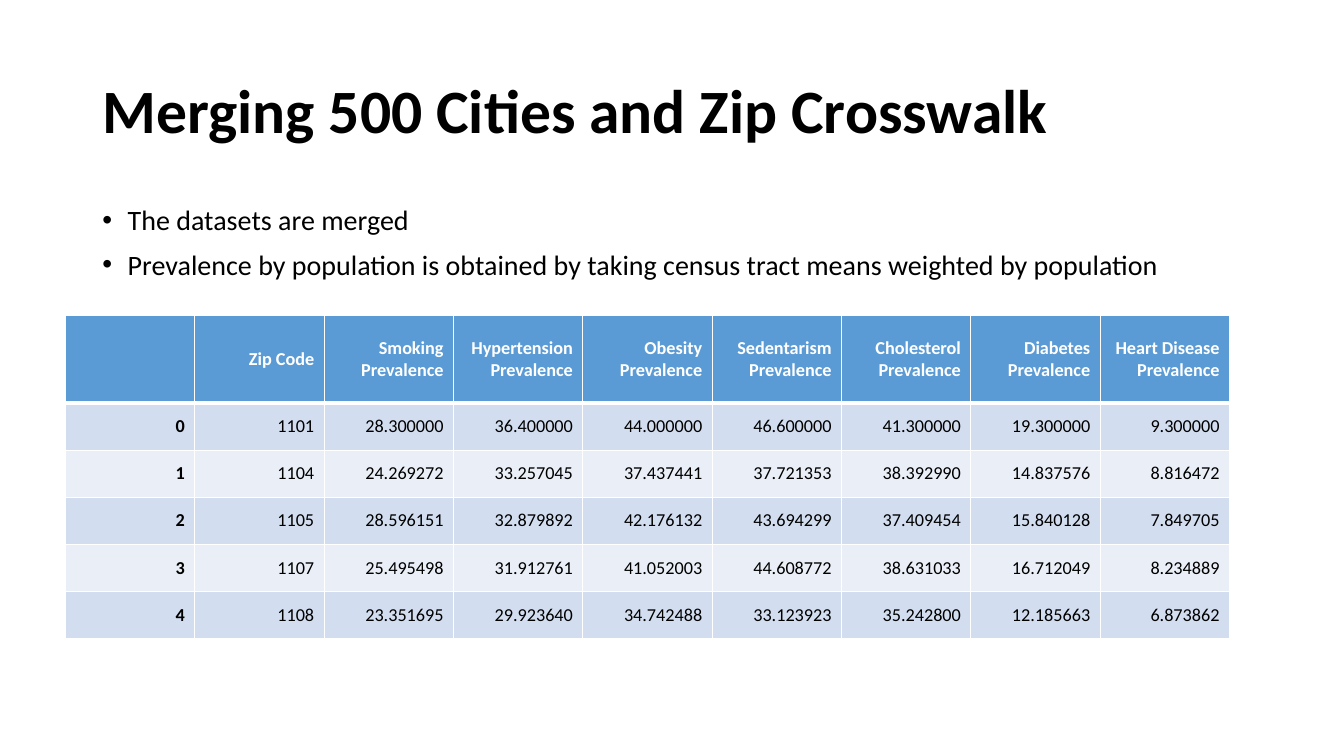
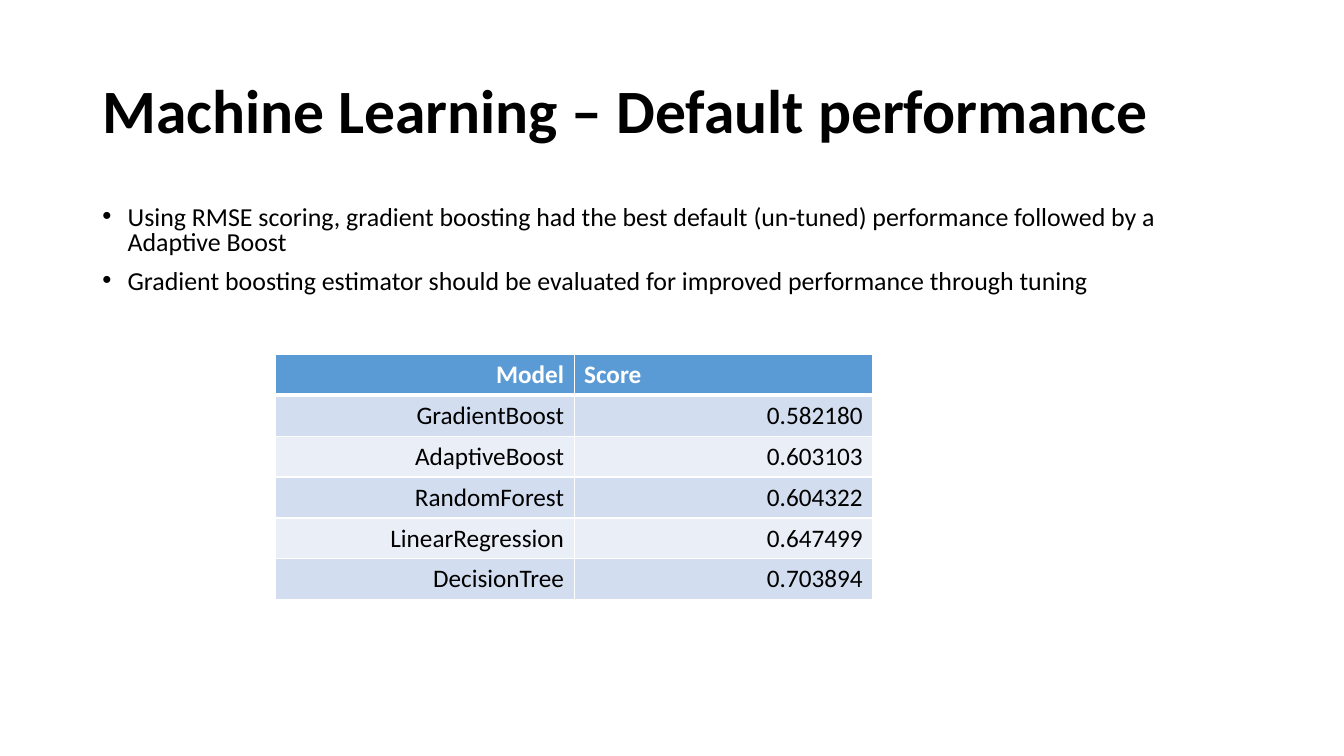
import pptx
import pptx.util
import pptx.dml.color
import pptx.enum.text
import pptx.oxml
import pptx.oxml.ns
from lxml import etree

RGBColor = pptx.dml.color.RGBColor
PP_ALIGN = pptx.enum.text.PP_ALIGN
MSO_ANCHOR = pptx.enum.text.MSO_ANCHOR
Pt = pptx.util.Pt
qn = pptx.oxml.ns.qn

BLACK = RGBColor(0x00, 0x00, 0x00)
WHITE = RGBColor(0xFF, 0xFF, 0xFF)
HEADER_BLUE = RGBColor(0x5B, 0x9B, 0xD5)
BANDS = (RGBColor(0xD2, 0xDE, 0xEF), RGBColor(0xEA, 0xEF, 0xF7))
FONT = "Calibri"

UNIT = pptx.util.Inches(1 / 12)
GRID_COLUMNS, GRID_ROWS = 160, 90
TITLE_BOX = (11, 4.8, 138, 17.4)

PREVALENCE_HEADER = ["", "Zip Code"] + [
    f"{condition} Prevalence"
    for condition in ("Smoking", "Hypertension", "Obesity", "Sedentarism",
                      "Cholesterol", "Diabetes", "Heart Disease")
]
PREVALENCE_ROWS = [
    "0 1101 28.300000 36.400000 44.000000 46.600000 41.300000 19.300000 9.300000".split(),
    "1 1104 24.269272 33.257045 37.437441 37.721353 38.392990 14.837576 8.816472".split(),
    "2 1105 28.596151 32.879892 42.176132 43.694299 37.409454 15.840128 7.849705".split(),
    "3 1107 25.495498 31.912761 41.052003 44.608772 38.631033 16.712049 8.234889".split(),
    "4 1108 23.351695 29.923640 34.742488 33.123923 35.242800 12.185663 6.873862".split(),
]
SCORE_ROWS = [
    ("GradientBoost", "0.582180"),
    ("AdaptiveBoost", "0.603103"),
    ("RandomForest", "0.604322"),
    ("LinearRegression", "0.647499"),
    ("DecisionTree", "0.703894"),
]


def units(count):
    return round(count * UNIT)


def place(part, box):
    part.left, part.top, part.width, part.height = map(units, box)


def add_run(paragraph, text, size, color=BLACK, bold=False):
    run = paragraph.add_run()
    run.text = text
    run.font.name = FONT
    run.font.size = Pt(size)
    run.font.color.rgb = color
    run.font.bold = bold


def add_title(slide, box, text):
    title = slide.shapes.title
    place(title, box)
    frame = title.text_frame
    frame.auto_size = pptx.enum.text.MSO_AUTO_SIZE.NONE
    frame.vertical_anchor = MSO_ANCHOR.MIDDLE
    heading = frame.paragraphs[0]
    heading.alignment = PP_ALIGN.LEFT
    heading.line_spacing = 0.9
    add_run(heading, text, 44, bold=True)


def add_bullets(slide, box, points, size, line_spacing):
    body = slide.placeholders[1]
    place(body, box)
    frame = body.text_frame
    frame.auto_size = pptx.enum.text.MSO_AUTO_SIZE.NONE
    frame.vertical_anchor = MSO_ANCHOR.TOP
    indent = units(3)
    for index, point in enumerate(points):
        bullet = frame.add_paragraph() if index else frame.paragraphs[0]
        bullet.line_spacing = line_spacing
        bullet.space_before = Pt(10)
        properties = bullet._p.get_or_add_pPr()
        properties.set("marL", str(indent))
        properties.set("indent", str(-indent))
        etree.SubElement(properties, qn("a:buFont")).set("typeface", "Arial")
        etree.SubElement(properties, qn("a:buChar")).set("char", "\u2022")
        add_run(bullet, point, size)


def set_borders(cell, top, bottom):
    properties = cell._tc.get_or_add_tcPr()
    for side, width in (("L", 1), ("R", 1), ("T", top), ("B", bottom)):
        line = etree.SubElement(properties, qn(f"a:ln{side}"))
        line.set("w", str(Pt(width)))
        fill = etree.SubElement(line, qn("a:solidFill"))
        etree.SubElement(fill, qn("a:srgbClr")).set("val", str(WHITE))


def add_banded_table(slide, box, header, rows, header_height, size,
                     bold_index=False, left_headers=()):
    left, top, width, height = box
    row_height = (height - header_height) / len(rows)
    table = slide.shapes.add_table(
        len(rows) + 1, len(header), *map(units, box)).table
    for column in table.columns:
        column.width = units(width / len(header))
    for r, values in enumerate([header, *rows]):
        is_header = r == 0
        table.rows[r].height = units(header_height if is_header else row_height)
        for c, value in enumerate(values):
            cell = table.cell(r, c)
            set_borders(cell, 3 if r == 1 else 1, 3 if is_header else 1)
            cell.fill.solid()
            cell.fill.fore_color.rgb = HEADER_BLUE if is_header else BANDS[(r - 1) % 2]
            cell.vertical_anchor = MSO_ANCHOR.MIDDLE
            entry = cell.text_frame.paragraphs[0]
            is_left = is_header and value in left_headers
            entry.alignment = PP_ALIGN.LEFT if is_left else PP_ALIGN.RIGHT
            if value:
                add_run(entry, value, size, WHITE if is_header else BLACK,
                        is_header or (bold_index and c == 0))


def add_content_slide(deck, title):
    slide = deck.slides.add_slide(deck.slide_layouts[1])
    add_title(slide, TITLE_BOX, title)
    return slide


def add_merging_slide(deck):
    slide = add_content_slide(deck, "Merging 500 Cities and Zip Crosswalk")
    add_bullets(slide, (11, 24, 136.5, 57), [
        "The datasets are merged",
        "Prevalence by population is obtained by taking census tract means "
        "weighted by population",
    ], 20, 0.9)
    add_banded_table(slide, (7.8, 37.6, 138.6, 38.4), PREVALENCE_HEADER,
                     PREVALENCE_ROWS, 10.4, 13, bold_index=True)


def add_performance_slide(deck):
    slide = add_content_slide(deck, "Machine Learning \u2013 Default performance")
    add_bullets(slide, (11, 24, 138, 12), [
        "Using RMSE scoring, gradient boosting had the best default (un-tuned) "
        "performance followed by a Adaptive Boost",
        "Gradient boosting estimator should be evaluated for improved "
        "performance through tuning",
    ], 18.5, 0.8)
    add_banded_table(slide, (32.8, 42.2, 71.1, 29.2), ("Model", "Score"),
                     SCORE_ROWS, 4.87, 18, left_headers=("Score",))


deck = pptx.Presentation()
deck.slide_width = units(GRID_COLUMNS)
deck.slide_height = units(GRID_ROWS)
add_merging_slide(deck)
add_performance_slide(deck)
deck.save("out.pptx")
